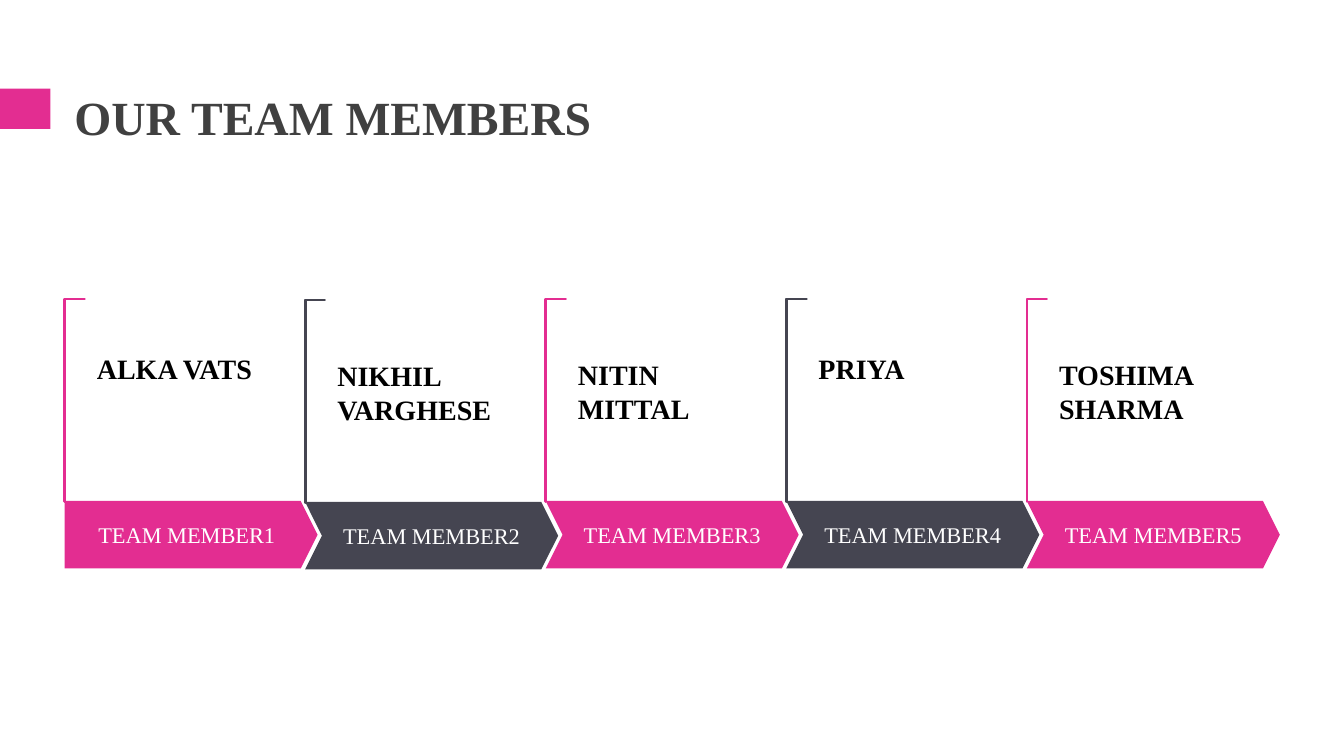
from pptx import Presentation
from pptx.dml.color import RGBColor
from pptx.enum.shapes import MSO_SHAPE
from pptx.enum.text import MSO_ANCHOR, PP_ALIGN
from pptx.util import Inches, Pt

RECTANGLE = MSO_SHAPE.RECTANGLE
BRACKET = MSO_SHAPE.CORNER
FIRST_ARROW = MSO_SHAPE.PENTAGON
NEXT_ARROW = MSO_SHAPE.CHEVRON
TOP, MIDDLE = MSO_ANCHOR.TOP, MSO_ANCHOR.MIDDLE
LEFT, CENTER = PP_ALIGN.LEFT, PP_ALIGN.CENTER

FONT = "Times New Roman"
COLORS = {
    "pink": "E32D91",
    "slate": "454551",
    "title": "404040",
    "black": "000000",
    "white": "FFFFFF",
}
MEMBERS = ["ALKA VATS", "NIKHIL VARGHESE", "NITIN MITTAL", "PRIYA", "TOSHIMA SHARMA"]

FIRST_LEFT, PITCH = 0.64, 2.386
BRACKET_LENGTH, BRACKET_HOOK = 2.01, 0.2

prs = Presentation()
prs.slide_width, prs.slide_height = Inches(13.33), Inches(7.5)
slide = prs.slides.add_slide(prs.slide_layouts[6])


def add_block(kind, left, top, width, height, fill, line=None, adjustments=()):
    block = slide.shapes.add_shape(
        kind, Inches(left), Inches(top), Inches(width), Inches(height))
    block.shadow.inherit = False
    block.fill.solid()
    block.fill.fore_color.rgb = RGBColor.from_string(COLORS[fill])
    if line:
        block.line.color.rgb = RGBColor.from_string(COLORS[line])
        block.line.width = Pt(1.75)
    else:
        block.line.fill.background()
    for index, value in enumerate(adjustments):
        block.adjustments[index] = value
    return block


def write(holder, text, size, color, bold=False, align=LEFT, anchor=TOP,
          insets=(0.1, 0.1, 0.1, 0)):
    """Put formatted text in a shape; insets are left, top, right, bottom."""
    frame = holder.text_frame
    frame.word_wrap = True
    frame.vertical_anchor = anchor
    frame.margin_left, frame.margin_top, frame.margin_right, frame.margin_bottom = map(
        Inches, insets)
    paragraph = frame.paragraphs[0]
    paragraph.alignment = align
    run = paragraph.add_run()
    run.text = text
    run.font.name = FONT
    run.font.size = Pt(size)
    run.font.bold = bold
    run.font.color.rgb = RGBColor.from_string(COLORS[color])


add_block(RECTANGLE, 0, 0.88, 0.5, 0.4, "pink")
title = slide.shapes.add_textbox(Inches(0.64), Inches(0.77), Inches(12.06), Inches(0.81))
write(title, "OUR TEAM MEMBERS", 34, "title", bold=True)

for i, member in enumerate(MEMBERS):
    left = FIRST_LEFT + i * PITCH
    drop = 0.01 if i == 1 else 0
    color = "slate" if i % 2 else "pink"

    # The bracket is turned about its centre, so its long side stands at `left`.
    bracket = add_block(
        BRACKET, left + (BRACKET_HOOK - BRACKET_LENGTH) / 2, 3.87 + drop,
        BRACKET_LENGTH, BRACKET_HOOK, "white", line=color, adjustments=(0.01, 0.01))
    bracket.rotation = 90

    arrow = add_block(NEXT_ARROW if i else FIRST_ARROW, left, 4.97 + drop, 2.51, 0.67,
                      color, adjustments=(0.25,))
    write(arrow, f"TEAM MEMBER{i + 1}", 16, "white", align=CENTER, anchor=MIDDLE,
          insets=(0.11, 0, 0.11, 0))

    name = slide.shapes.add_textbox(
        Inches(left + 0.2), Inches(3.08 + drop), Inches(2.04), Inches(1.31))
    write(name, member, 20, "black", bold=True, insets=(0.12, 0.47, 0.31, 0))

prs.save("out.pptx")
